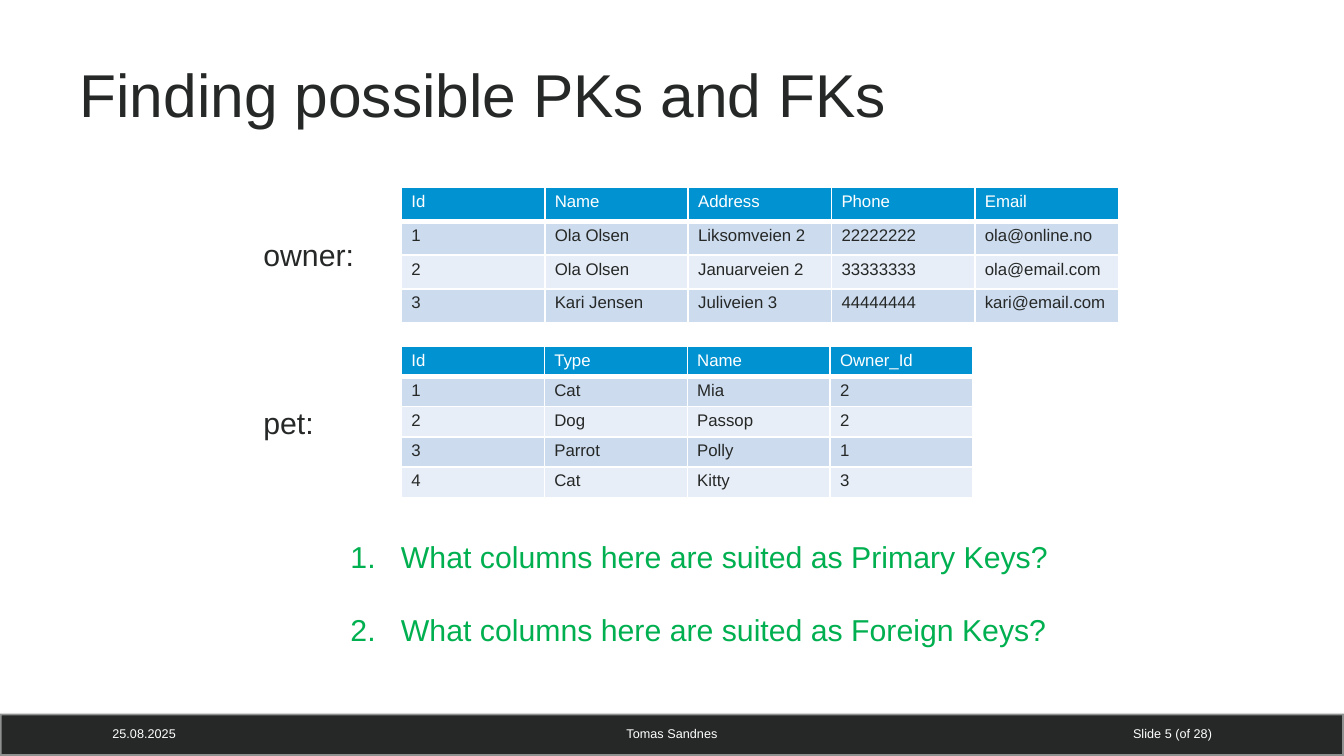
from lxml import etree
from pptx import Presentation
from pptx.dml.color import RGBColor
from pptx.enum.shapes import MSO_SHAPE
from pptx.enum.text import MSO_ANCHOR, PP_ALIGN
from pptx.oxml.ns import qn
from pptx.util import Cm, Pt

LEFT, CENTER, RIGHT = PP_ALIGN.LEFT, PP_ALIGN.CENTER, PP_ALIGN.RIGHT
TOP, MIDDLE = MSO_ANCHOR.TOP, MSO_ANCHOR.MIDDLE
RECTANGLE = MSO_SHAPE.RECTANGLE

FONT = "Arial"
COLORS = {"dark": "262827", "white": "FFFFFF", "edge": "F9F9F9", "header": "0092D1",
          "odd": "CCDCEE", "even": "E7EEF7", "question": "00B050"}

SLIDE_W, SLIDE_H = 28.22, 15.88
TABLE_X, LABEL_X = 8.43, 5.28
BAR_Y, BAR_H = 14.99, 0.89

TITLE = "Finding possible PKs and FKs"
# label, label top, table top, column width, row height, rows
TABLES = [
    ("owner:", 4.83, 3.94, 3.01, 0.71, [
        ("Id", "Name", "Address", "Phone", "Email"),
        ("1", "Ola Olsen", "Liksomveien 2", "22222222", "ola@online.no"),
        ("2", "Ola Olsen", "Januarveien 2", "33333333", "ola@email.com"),
        ("3", "Kari Jensen", "Juliveien 3", "44444444", "kari@email.com"),
    ]),
    ("pet:", 8.36, 7.27, 3.0, 0.635, [
        ("Id", "Type", "Name", "Owner_Id"),
        ("1", "Cat", "Mia", "2"),
        ("2", "Dog", "Passop", "2"),
        ("3", "Parrot", "Polly", "1"),
        ("4", "Cat", "Kitty", "3"),
    ]),
]
QUESTIONS = [
    "What columns here are suited as Primary Keys?",
    "What columns here are suited as Foreign Keys?",
]
# text, left, width, alignment
FOOTER = [
    ("25.08.2025", 2.11, 6.58, LEFT),
    ("Tomas Sandnes", 9.88, 8.46, CENTER),
    ("Slide 5 (of 28)", 20.9, 4.8, RIGHT),
]


def rgb(name):
    return RGBColor.from_string(COLORS[name])


def write(p, text, size, color):
    r = p.add_run()
    r.text = text
    style = {"name": FONT, "size": Pt(size), "bold": False}
    for key, value in style.items():
        setattr(r.font, key, value)
    r.font.color.rgb = rgb(color)


def add_text(s, lines, box, size, color, align=LEFT, anchor=TOP, numbered=False):
    tf = s.shapes.add_textbox(*map(Cm, box)).text_frame
    tf.word_wrap = True
    tf.vertical_anchor = anchor
    for i, line in enumerate(lines):
        p = tf.paragraphs[0] if i == 0 else tf.add_paragraph()
        p.alignment = align
        if i:
            p.space_before = Pt(22)
        if numbered:
            pPr = p._p.get_or_add_pPr()
            pPr.set("marL", str(Cm(1.06)))
            pPr.set("indent", str(Cm(-1.06)))
            etree.SubElement(pPr, qn("a:buFont"), typeface="+mj-lt")
            etree.SubElement(pPr, qn("a:buAutoNum"), type="arabicPeriod")
        write(p, line, size, color)


def add_borders(cell, bottom):
    """White 1 pt lines round a cell, with its own bottom width in points."""
    tcPr = cell._tc.get_or_add_tcPr()
    for side, width in (("L", 1), ("R", 1), ("T", 1), ("B", bottom)):
        ln = etree.SubElement(tcPr, qn("a:ln" + side), w=str(Pt(width)))
        fill = etree.SubElement(ln, qn("a:solidFill"))
        etree.SubElement(fill, qn("a:srgbClr"), val=COLORS["white"])


def add_data_table(s, top, col_w, row_h, rows):
    n_rows, n_cols = len(rows), len(rows[0])
    table = s.shapes.add_table(n_rows, n_cols, Cm(TABLE_X), Cm(top),
                               Cm(col_w * n_cols), Cm(row_h * n_rows)).table
    for col in table.columns:
        col.width = Cm(col_w)
    margins = {"margin_left": 0.21, "margin_right": 0.21,
               "margin_top": 0.1, "margin_bottom": 0.1}
    for i, values in enumerate(rows):
        table.rows[i].height = Cm(row_h)
        is_header = i == 0
        fill = "header" if is_header else "odd" if i % 2 else "even"
        for j, value in enumerate(values):
            cell = table.cell(i, j)
            for key, margin in margins.items():
                setattr(cell, key, Cm(margin))
            add_borders(cell, 3 if is_header else 1)
            cell.fill.solid()
            cell.fill.fore_color.rgb = rgb(fill)
            write(cell.text_frame.paragraphs[0], value, 10,
                  "white" if is_header else "dark")


def add_footer(s):
    bar = s.shapes.add_shape(RECTANGLE, 0, Cm(BAR_Y), Cm(SLIDE_W), Cm(BAR_H))
    bar.shadow.inherit = False
    bar.fill.solid()
    bar.fill.fore_color.rgb = rgb("dark")
    bar.line.width = Pt(2)
    bar.line.color.rgb = rgb("edge")
    edge = bar.line._ln.find(".//" + qn("a:srgbClr"))
    etree.SubElement(edge, qn("a:alpha"), val="50000")
    for text, left, width, align in FOOTER:
        add_text(s, [text], (left, BAR_Y, width, 0.84), 7.5, "white", align, MIDDLE)


def main():
    prs = Presentation()
    prs.slide_width, prs.slide_height = Cm(SLIDE_W), Cm(SLIDE_H)
    s = prs.slides.add_slide(prs.slide_layouts[6])
    add_footer(s)
    add_text(s, [TITLE], (1.42, 0.64, 25.4, 2.64), 36, "dark", anchor=MIDDLE)
    for label, label_y, top, col_w, row_h, rows in TABLES:
        add_data_table(s, top, col_w, row_h, rows)
        add_text(s, [label], (LABEL_X, label_y, 2.5, 1.02), 18, "dark")
    add_text(s, QUESTIONS, (7.11, 11.18, 15.4, 2.57), 18, "question", numbered=True)
    prs.save("out.pptx")


if __name__ == "__main__":
    main()
